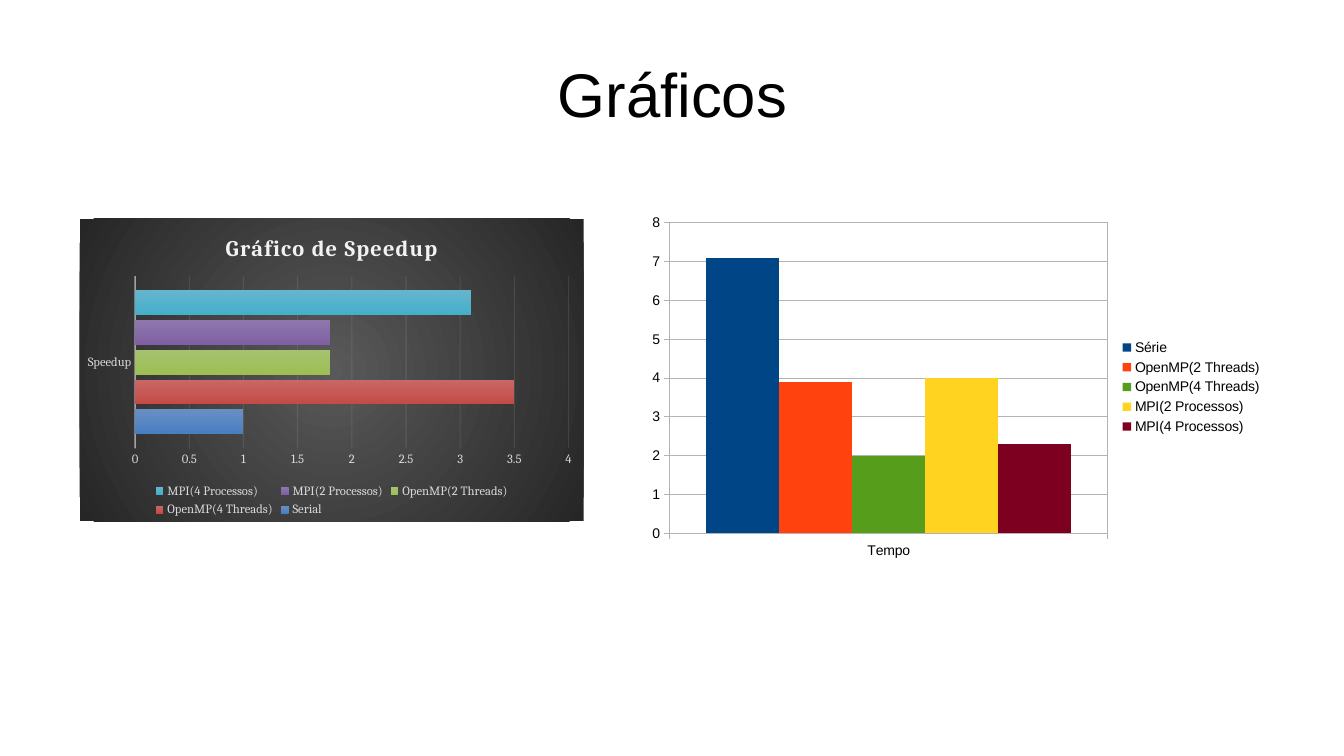
from lxml import etree
from pptx import Presentation, util as u
from pptx.chart.data import CategoryChartData
from pptx.dml.color import RGBColor
from pptx.enum import chart as ch, text
from pptx.oxml import parse_xml
from pptx.oxml.ns import nsdecls, qn

WIDTH, HEIGHT = u.Inches(13.33), u.Inches(7.5)
BLACK = RGBColor(0x00, 0x00, 0x00)
SILVER = RGBColor(0xD9, 0xD9, 0xD9)
PALE = RGBColor(0xF2, 0xF2, 0xF2)
GREY = RGBColor(0xB3, 0xB3, 0xB3)
GLOW = RGBColor(0x59, 0x59, 0x59)
DARK = RGBColor(0x26, 0x26, 0x26)

ARIAL = dict(name="Arial", size=u.Pt(10), bold=False)
CAMBRIA = dict(name="Cambria", size=u.Pt(9), bold=False)
HEADING = dict(name="Cambria", size=u.Pt(16), bold=True)

# name, value, (top colour, bottom colour)
SPEEDUP = [
    ("Serial", 1, (RGBColor(0x68, 0x8F, 0xC4), RGBColor(0x48, 0x7F, 0xC1))),
    ("OpenMP(4 Threads)", 3.5, (RGBColor(0xC7, 0x68, 0x66), RGBColor(0xC5, 0x4A, 0x47))),
    ("OpenMP(2 Threads)", 1.8, (RGBColor(0xA6, 0xC2, 0x6F), RGBColor(0x9C, 0xBF, 0x54))),
    ("MPI(2 Processos)", 1.8, (RGBColor(0x8E, 0x77, 0xAC), RGBColor(0x7F, 0x60, 0xA4))),
    ("MPI(4 Processos)", 3.1, (RGBColor(0x65, 0xB5, 0xCC), RGBColor(0x44, 0xAF, 0xCC))),
]
# name, value, (colour,)
TIMES = [
    ("Série", 7.1, (RGBColor(0x00, 0x45, 0x86),)),
    ("OpenMP(2 Threads)", 3.9, (RGBColor(0xFF, 0x42, 0x0E),)),
    ("OpenMP(4 Threads)", 2, (RGBColor(0x57, 0x9D, 0x1C),)),
    ("MPI(2 Processos)", 4, (RGBColor(0xFF, 0xD3, 0x20),)),
    ("MPI(4 Processos)", 2.3, (RGBColor(0x7E, 0x00, 0x21),)),
]


def shares(left, top, width, height):
    """Turn percentages of the slide's size into lengths."""
    return [int(whole * part / 100) for whole, part in
            zip((WIDTH, HEIGHT) * 2, (left, top, width, height))]


def set_all(target, values):
    for key, value in values.items():
        setattr(target, key, value)


def set_font(font, values, color):
    set_all(font, values)
    font.color.rgb = color


def set_line(line, color, width, opacity=100):
    line.color.rgb = color
    line.width = u.Pt(width)
    if opacity < 100:
        tint = line.fill.fore_color
        for element in line._ln.iter(qn("a:srgbClr")):
            etree.SubElement(element, qn("a:alpha")).set("val", str(opacity * 1000))


def set_fill(fill, colors):
    """One colour fills plainly, two make a gradient from top to bottom."""
    if len(colors) == 1:
        fill.solid()
        fill.fore_color.rgb = colors[0]
        return
    fill.gradient()
    fill.gradient_angle = 270
    for stop, color, position in zip(fill.gradient_stops, colors, (0, 1)):
        stop.color.rgb = color
        stop.position = position


def add_title(page, wording):
    title = page.shapes.title
    set_all(title, dict(zip(("left", "top", "width", "height"),
                            shares(5.03, 4, 90.02, 16.67))))
    frame = title.text_frame
    set_all(frame, dict(margin_left=0, margin_top=0, margin_right=0, margin_bottom=0,
                        word_wrap=True, auto_size=text.MSO_AUTO_SIZE.NONE,
                        vertical_anchor=text.MSO_ANCHOR.MIDDLE))
    para = frame.paragraphs[0]
    para.alignment = text.PP_ALIGN.CENTER
    span = para.add_run()
    span.text = wording
    set_font(span.font, dict(name="Arial", size=u.Pt(44)), BLACK)


def add_bars(page, kind, place, category, rows, gap, overlap, font, color, legend):
    data = CategoryChartData()
    data.categories = [category]
    for name, value, _ in rows:
        data.add_series(name, [value])
    chart = page.shapes.add_chart(kind, *shares(*place), data).chart
    set_font(chart.font, font, color)
    chart.has_title = False
    chart.has_legend = True
    set_all(chart.legend, dict(position=legend, include_in_layout=False))
    set_font(chart.legend.font, font, color)
    set_all(chart.plots[0], dict(gap_width=gap, overlap=overlap, vary_by_categories=False))
    for series, (_, _, colors) in zip(chart.plots[0].series, rows):
        set_fill(series.format.fill, colors)
        series.format.line.fill.background()
        series.invert_if_negative = False
    return chart


def style_axes(chart, top, unit, tick, font, color):
    set_all(chart.value_axis, dict(minimum_scale=0, maximum_scale=top, major_unit=unit,
                                   has_major_gridlines=True))
    for axis in (chart.category_axis, chart.value_axis):
        set_all(axis, dict(major_tick_mark=tick, minor_tick_mark=ch.XL_TICK_MARK.NONE))
        set_font(axis.tick_labels.font, font, color)


def place_plot(chart, x, y, w, h):
    """Fix the inner plot area, in shares of the chart's size."""
    area = chart._chartSpace.chart.plotArea
    for old in area.findall(qn("c:layout")):
        area.remove(old)
    marks = "".join(f'<c:{key} val="{value}"/>' for key, value in
                    dict(layoutTarget="inner", xMode="edge", yMode="edge",
                         x=x, y=y, w=w, h=h).items())
    area.insert(0, parse_xml(
        f'<c:layout {nsdecls("c")}><c:manualLayout>{marks}</c:manualLayout></c:layout>'))


def frame_plot(chart, color):
    chart._chartSpace.chart.plotArea.append(parse_xml(
        f'<c:spPr {nsdecls("c", "a")}><a:noFill/><a:ln w="0"><a:solidFill>'
        f'<a:srgbClr val="{color}"/></a:solidFill></a:ln></c:spPr>'))


def add_radial_backdrop(chart, inner, outer):
    chart._chartSpace.chart.addnext(parse_xml(
        f'<c:spPr {nsdecls("c", "a")}><a:gradFill><a:gsLst>'
        f'<a:gs pos="0"><a:srgbClr val="{inner}"/></a:gs>'
        f'<a:gs pos="100000"><a:srgbClr val="{outer}"/></a:gs></a:gsLst>'
        '<a:path path="circle"><a:fillToRect l="50000" t="50000" r="50000" b="50000"/>'
        '</a:path></a:gradFill><a:ln><a:noFill/></a:ln></c:spPr>'))


def add_chart_title(chart, wording):
    chart.has_title = True
    chart.chart_title.include_in_layout = False
    span = chart.chart_title.text_frame.paragraphs[0].add_run()
    span.text = wording
    set_font(span.font, HEADING, PALE)
    span.font._element.set("spc", "100")


def add_speedup_chart(page):
    chart = add_bars(page, ch.XL_CHART_TYPE.BAR_CLUSTERED, (5.93, 28.93, 37.5, 40),
                     "Speedup", SPEEDUP, 115, -20, CAMBRIA, SILVER,
                     ch.XL_LEGEND_POSITION.BOTTOM)
    style_axes(chart, 4, 0.5, ch.XL_TICK_MARK.NONE, CAMBRIA, SILVER)
    set_line(chart.category_axis.format.line, PALE, 1, 54)
    chart.value_axis.format.line.fill.background()
    set_line(chart.value_axis.major_gridlines.format.line, PALE, 0.75, 10)
    add_chart_title(chart, "Gráfico de Speedup")
    add_radial_backdrop(chart, GLOW, DARK)
    place_plot(chart, 0.11, 0.19, 0.86, 0.57)


def add_time_chart(page):
    chart = add_bars(page, ch.XL_CHART_TYPE.COLUMN_CLUSTERED, (47.49, 27.6, 47.19, 47.2),
                     "Tempo", TIMES, 100, 0, ARIAL, BLACK, ch.XL_LEGEND_POSITION.RIGHT)
    style_axes(chart, 8, 1, ch.XL_TICK_MARK.OUTSIDE, ARIAL, BLACK)
    for part in (chart.category_axis, chart.value_axis, chart.value_axis.major_gridlines):
        set_line(part.format.line, GREY, 0)
    frame_plot(chart, GREY)
    place_plot(chart, 0.05, 0.04, 0.69, 0.87)


def main():
    deck = Presentation()
    set_all(deck, dict(slide_width=WIDTH, slide_height=HEIGHT))
    page = deck.slides.add_slide(deck.slide_layouts.get_by_name("Title Only"))
    add_title(page, "Gráficos")
    add_speedup_chart(page)
    add_time_chart(page)
    deck.save("out.pptx")


if __name__ == "__main__":
    main()
